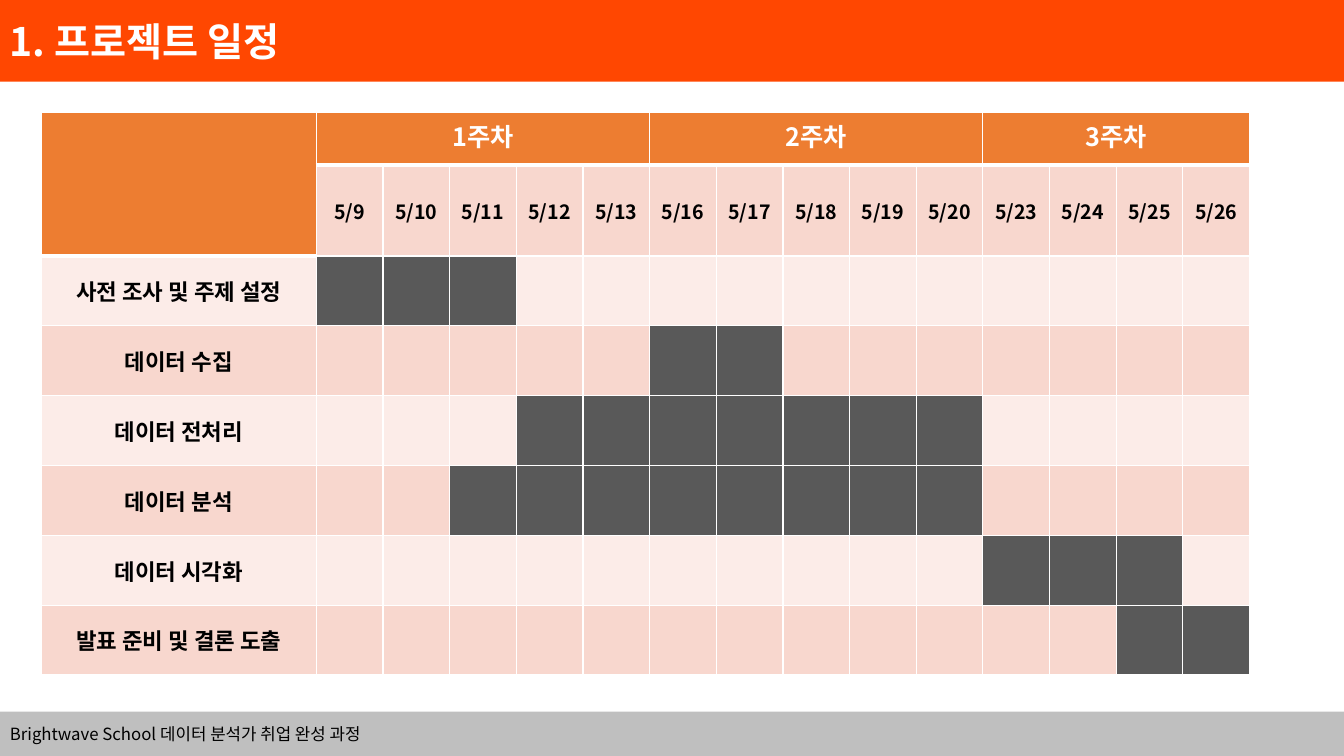
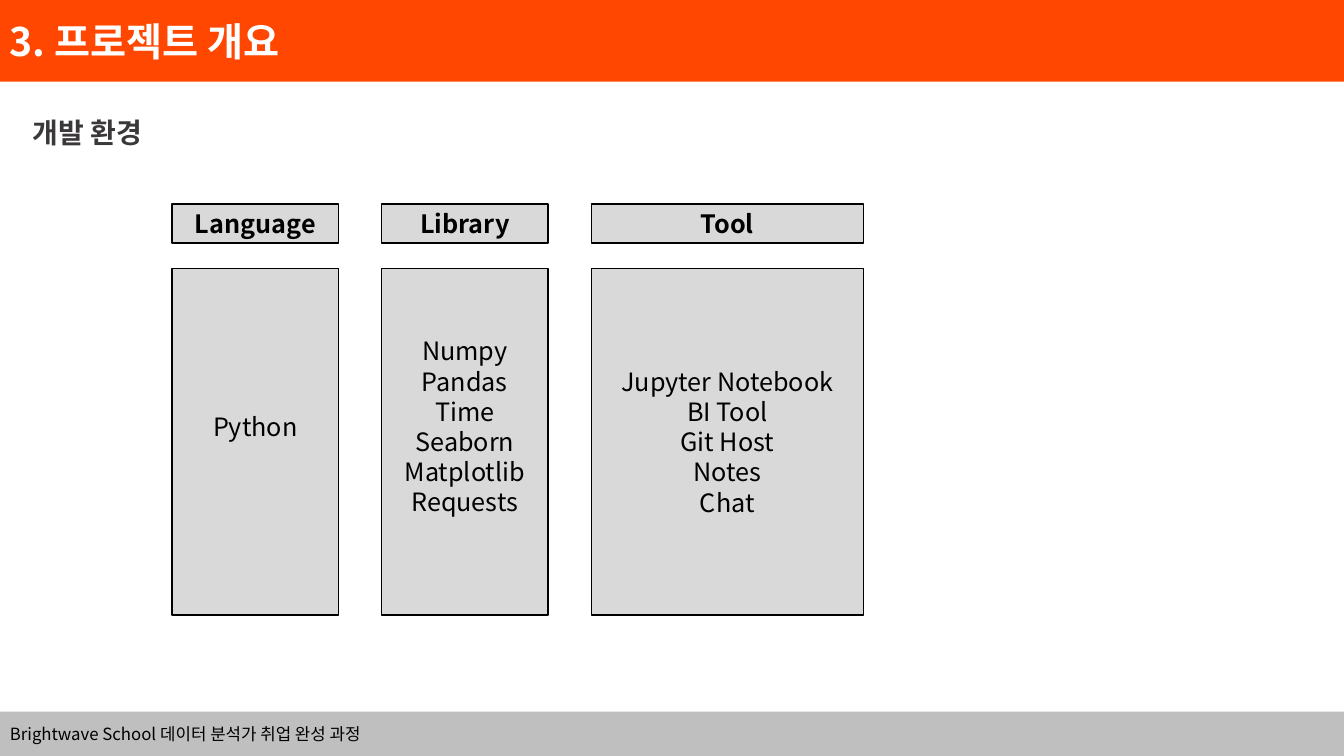
import dataclasses

import pptx
import pptx.dml.color
import pptx.enum.shapes
import pptx.enum.text
import pptx.oxml
import pptx.oxml.ns
import pptx.util

Cm = pptx.util.Cm
Pt = pptx.util.Pt
ALIGN = pptx.enum.text.PP_ALIGN
ANCHOR = pptx.enum.text.MSO_ANCHOR


@dataclasses.dataclass(frozen=True)
class Theme:
    font: str = "Noto Sans CJK KR"
    # Colours
    title_band: str = "FF4701"
    footer_band: str = "BFBFBF"
    table_header: str = "ED7D31"
    row_dark: str = "F8D7CE"
    row_light: str = "FCECE8"
    bar: str = "595959"
    box: str = "D9D9D9"
    subtitle: str = "3A3838"
    black: str = "000000"
    white: str = "FFFFFF"
    # Type sizes in points
    title_size: int = 28
    subtitle_size: int = 20
    body_size: int = 18
    task_size: int = 16
    date_size: int = 14
    footer_size: int = 12


THEME = Theme()
WIDTH, HEIGHT = 33.87, 19.05
FOOTER = "Brightwave School 데이터 분석가 취업 완성 과정"


def rgb(value):
    return pptx.dml.color.RGBColor.from_string(value)


def write_text(frame, text, size=THEME.body_size, color=THEME.black, bold=False,
               align=ALIGN.LEFT, line_spacing=None):
    """Write one paragraph for each line of text."""
    for index, line in enumerate(text.split("\n")):
        paragraph = frame.add_paragraph() if index else frame.paragraphs[0]
        paragraph.alignment = align
        if line_spacing:
            paragraph.line_spacing = line_spacing
        run = paragraph.add_run()
        run.text = line
        run.font.name = THEME.font
        run.font.size = Pt(size)
        run.font.bold = bold
        run.font.color.rgb = rgb(color)
        # East Asian typeface follows the Latin one
        latin = run.font._element.find(pptx.oxml.ns.qn("a:latin"))
        latin.addnext(pptx.oxml.parse_xml(
            f'<a:ea {pptx.oxml.ns.nsdecls("a")} typeface="{THEME.font}"/>'))


def set_borders(cell, top=1, bottom=1):
    """Put white borders before the fill; widths are in points."""
    properties = cell._tc.get_or_add_tcPr()
    widths = {"lnL": 1, "lnR": 1, "lnT": top, "lnB": bottom}
    for index, (tag, width) in enumerate(widths.items()):
        properties.insert(index, pptx.oxml.parse_xml(
            f'<a:{tag} {pptx.oxml.ns.nsdecls("a")} w="{Pt(width)}"><a:solidFill>'
            f'<a:srgbClr val="{THEME.white}"/></a:solidFill></a:{tag}>'))


class Deck:
    """Holds the presentation, its theme and the current slide."""

    def __init__(self, theme):
        self.theme = theme
        self.presentation = pptx.Presentation()
        self.presentation.slide_width = Cm(WIDTH)
        self.presentation.slide_height = Cm(HEIGHT)
        self.slide = None

    def start_slide(self, title):
        self.slide = self.presentation.slides.add_slide(
            self.presentation.slide_layouts[6])
        self.box(FOOTER, 0, 17.93, WIDTH, 1.12, self.theme.footer_band,
                 size=self.theme.footer_size)
        self.box(title, 0, 0, WIDTH, 2.06, self.theme.title_band,
                 size=self.theme.title_size, color=self.theme.white, bold=True)

    def box(self, text, left, top, width, height, fill, outline=None,
            bottom_inset=0.13, **text_format):
        shape = self.slide.shapes.add_shape(
            pptx.enum.shapes.MSO_SHAPE.RECTANGLE,
            Cm(left), Cm(top), Cm(width), Cm(height))
        shape.shadow.inherit = False
        shape.fill.solid()
        shape.fill.fore_color.rgb = rgb(fill)
        if outline:
            shape.line.color.rgb = rgb(outline)
            shape.line.width = Pt(1)
        else:
            shape.line.fill.background()
        shape.text_frame.vertical_anchor = ANCHOR.MIDDLE
        shape.text_frame.margin_bottom = Cm(bottom_inset)
        write_text(shape.text_frame, text, **text_format)

    def subtitle(self, text):
        shape = self.slide.shapes.add_textbox(Cm(0.58), Cm(2.36), Cm(31.7), Cm(4.11))
        shape.text_frame.word_wrap = True
        write_text(shape.text_frame, text, size=self.theme.subtitle_size,
                   color=self.theme.subtitle, bold=True, line_spacing=1.5)

    def cell(self, cell, fill, text="", anchor=ANCHOR.MIDDLE, top=1, bottom=1,
             **text_format):
        cell.fill.solid()
        cell.fill.fore_color.rgb = rgb(fill)
        set_borders(cell, top, bottom)
        cell.vertical_anchor = anchor
        if text:
            write_text(cell.text_frame, text, bold=True, align=ALIGN.CENTER,
                       **text_format)

    def schedule(self, weeks, tasks):
        """Weeks map to their dates; tasks give a name, first and last date."""
        theme = self.theme
        dates = [date for days in weeks.values() for date in days]
        widths = [6.93] + [1.68] * len(dates)
        heights = [1.32, 2.29] + [1.76] * len(tasks)
        table = self.slide.shapes.add_table(
            len(heights), len(widths), Cm(1.04), Cm(2.84),
            Cm(sum(widths)), Cm(sum(heights))).table
        for column, width in zip(table.columns, widths):
            column.width = Cm(width)
        for row, height in zip(table.rows, heights):
            row.height = Cm(height)

        # Header: corner, weeks and dates
        for row in range(2):
            self.cell(table.cell(row, 0), theme.table_header, bottom=3)
        table.cell(0, 0).merge(table.cell(1, 0))
        column = 1
        for week, days in weeks.items():
            last = column + len(days) - 1
            for index in range(column, last + 1):
                self.cell(table.cell(0, index), theme.table_header,
                          week if index == column else "", ANCHOR.TOP,
                          bottom=3, color=theme.white)
            table.cell(0, column).merge(table.cell(0, last))
            column = last + 1
        for column, date in enumerate(dates, 1):
            self.cell(table.cell(1, column), theme.row_dark, date, top=3,
                      size=theme.date_size)

        # Task rows with their bars
        for row, (task, first, last) in enumerate(tasks, 2):
            shade = theme.row_dark if row % 2 else theme.row_light
            self.cell(table.cell(row, 0), shade, task, top=3 if row == 2 else 1,
                      size=theme.task_size)
            active = range(dates.index(first), dates.index(last) + 1)
            for index in range(len(dates)):
                self.cell(table.cell(row, index + 1),
                          theme.bar if index in active else shade)

    def tool_columns(self, columns):
        """Each column has a heading, its items, a width and a bottom inset."""
        left, gap = 4.34, 1.09
        style = dict(fill=self.theme.box, outline=self.theme.black,
                     align=ALIGN.CENTER)
        for heading, items, width, bottom_inset in columns:
            self.box(heading, left, 5.14, width, 0.99, bold=True, **style)
            self.box("\n".join(items), left, 6.76, width, 8.74,
                     bottom_inset=bottom_inset, **style)
            left += width + gap


def main():
    deck = Deck(THEME)

    # Project schedule
    deck.start_slide("1. 프로젝트 일정")
    deck.schedule(
        {
            "1주차": [f"5/{day}" for day in range(9, 14)],
            "2주차": [f"5/{day}" for day in range(16, 21)],
            "3주차": [f"5/{day}" for day in range(23, 27)],
        },
        [
            ("사전 조사 및 주제 설정", "5/9", "5/11"),
            ("데이터 수집", "5/16", "5/17"),
            ("데이터 전처리", "5/12", "5/20"),
            ("데이터 분석", "5/11", "5/20"),
            ("데이터 시각화", "5/23", "5/25"),
            ("발표 준비 및 결론 도출", "5/25", "5/26"),
        ])

    # Development environment
    deck.start_slide("3. 프로젝트 개요")
    deck.subtitle("개발 환경")
    deck.tool_columns([
        ("Language", ["Python"], 4.19, 0.9),
        ("Library", ["Numpy", "Pandas", "Time", "Seaborn", "Matplotlib", "Requests"],
         4.19, 0.9),
        ("Tool", ["Jupyter Notebook", "BI Tool", "Git Host", "Notes", "Chat"],
         6.86, 0.13),
    ])

    deck.presentation.save("out.pptx")


if __name__ == "__main__":
    main()
